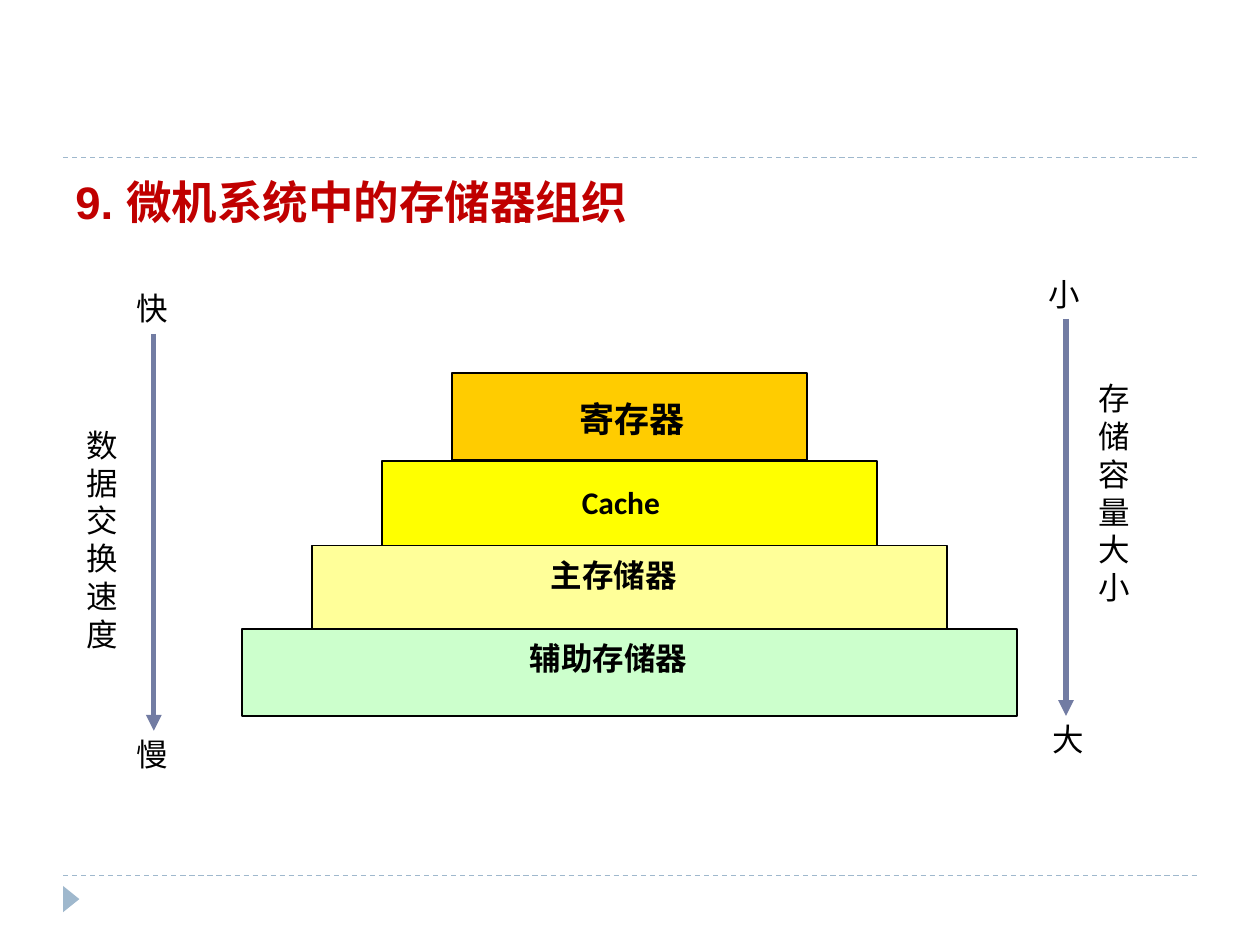
from lxml import etree
from pptx import Presentation
from pptx.dml.color import RGBColor
from pptx.enum.dml import MSO_LINE
from pptx.enum.shapes import MSO_CONNECTOR, MSO_SHAPE
from pptx.oxml.ns import qn
from pptx.util import Cm, Pt

STRAIGHT = MSO_CONNECTOR.STRAIGHT
RECTANGLE = MSO_SHAPE.RECTANGLE
TRIANGLE = MSO_SHAPE.ISOSCELES_TRIANGLE
DASH = MSO_LINE.DASH

BLACK = RGBColor(0x00, 0x00, 0x00)
RED = RGBColor(0xC0, 0x00, 0x00)
PALE_BLUE = RGBColor(0x9F, 0xB8, 0xCD)
SLATE = RGBColor(0x72, 0x7C, 0xA3)
ORANGE = RGBColor(0xFF, 0xCC, 0x00)
YELLOW = RGBColor(0xFF, 0xFF, 0x00)
PALE_YELLOW = RGBColor(0xFF, 0xFF, 0x99)
PALE_GREEN = RGBColor(0xCC, 0xFF, 0xCC)

CHINESE_FONT = "Noto Sans CJK SC"

# Label, size, font, fill, top within the pyramid, label offset (x, y)
LEVELS = [
    ("寄存器", 20, CHINESE_FONT, ORANGE, 0, (6.8, 0.5)),
    ("Cache", 18, "Calibri", YELLOW, 1.78, (6.85, 0.43)),
    ("主存储器", 18, CHINESE_FONT, PALE_YELLOW, 3.48, (6.22, 0.2)),
    ("辅助存储器", 18, CHINESE_FONT, PALE_GREEN, 5.16, (5.8, 0.2)),
]
LEVEL_HEIGHT = 1.76
LEVEL_WIDTH_STEP = 2.82


def add_text(shapes, box, text, size, font_name="Calibri", color=BLACK,
             bold=False, margins=True):
    """Add one wrapped paragraph in box (left, top, width, height in cm)."""
    frame = shapes.add_textbox(*map(Cm, box)).text_frame
    frame.word_wrap = True
    if not margins:
        frame.margin_left = frame.margin_right = 0
        frame.margin_top = frame.margin_bottom = 0
    run = frame.paragraphs[0].add_run()
    run.text = text
    run.font.size = Pt(size)
    run.font.name = font_name
    run.font.bold = bold
    run.font.color.rgb = color
    east_asian = etree.SubElement(run.font._element, qn("a:ea"))
    east_asian.set("typeface", CHINESE_FONT)


def add_line(shapes, start, end, color, width):
    connector = shapes.add_connector(STRAIGHT, *map(Cm, start + end))
    connector.line.color.rgb = color
    connector.line.width = Pt(width)
    etree.SubElement(connector._element.spPr, qn("a:effectLst"))
    return connector


def add_frame(shapes, left, top, width, height):
    """Add the dashed rules and the corner marker below them."""
    for y in (top, top + height):
        rule = add_line(shapes, (left, y), (left + width, y), PALE_BLUE, 0.75)
        rule.line.dash_style = DASH
    marker = shapes.add_shape(TRIANGLE, Cm(left - 0.1), Cm(top + height + 0.31),
                              Cm(0.53), Cm(0.33))
    marker.rotation = 90
    marker.shadow.inherit = False
    marker.fill.solid()
    marker.fill.fore_color.rgb = PALE_BLUE
    marker.line.fill.background()


def add_pyramid(shapes, left, top, width):
    for index, (label, size, font, fill, offset, label_at) in enumerate(LEVELS):
        level_width = width - LEVEL_WIDTH_STEP * (len(LEVELS) - 1 - index)
        level_left = left + (width - level_width) / 2
        level_top = top + offset
        level = shapes.add_shape(RECTANGLE, Cm(level_left), Cm(level_top),
                                 Cm(level_width), Cm(LEVEL_HEIGHT))
        level.shadow.inherit = False
        level.fill.solid()
        level.fill.fore_color.rgb = fill
        level.line.color.rgb = BLACK
        level.line.width = Pt(1)
        label_x, label_y = label_at
        add_text(shapes, (left + label_x, level_top + label_y, 4.3, 1), label,
                 size, font, bold=True, margins=False)


def add_scale(shapes, left, top, height, ends, caption, caption_at, end_shift=0):
    """Add a downward arrow with a word at each end and a vertical caption."""
    arrow = add_line(shapes, (left, top), (left, top + height), SLATE, 3)
    arrow_end = etree.SubElement(arrow.line._get_or_add_ln(), qn("a:tailEnd"))
    arrow_end.set("type", "triangle")
    first, last = ends
    text_left = left - 0.6
    add_text(shapes, (text_left, top - 1.02, 1.8, 1.02), first, 18)
    add_text(shapes, (text_left + end_shift, top + height - 0.04, 1.8, 1.02), last, 18)
    caption_x, caption_y = caption_at
    add_text(shapes, (left + caption_x, top + caption_y, 1.19, 4.88), caption, 18)


def main():
    presentation = Presentation()
    presentation.slide_width = Cm(25.4)
    presentation.slide_height = Cm(19.05)
    slide = presentation.slides.add_slide(presentation.slide_layouts[6])
    shapes = slide.shapes

    add_frame(shapes, 1.27, 3.18, 22.86, 14.47)
    add_text(shapes, (1.27, 3.38, 22.86, 1.6), "9. 微机系统中的存储器组织",
             26, "Arial", RED, bold=True)
    add_pyramid(shapes, 4.88, 7.52, 15.62)
    add_scale(shapes, 3.1, 6.73, 8, ("快", "慢"), "数据交换速度", (-1.6, 1.73))
    add_scale(shapes, 21.49, 6.43, 8, ("小", "大"), "存储容量大小", (0.4, 1.09),
              end_shift=0.08)

    presentation.save("out.pptx")


if __name__ == "__main__":
    main()
